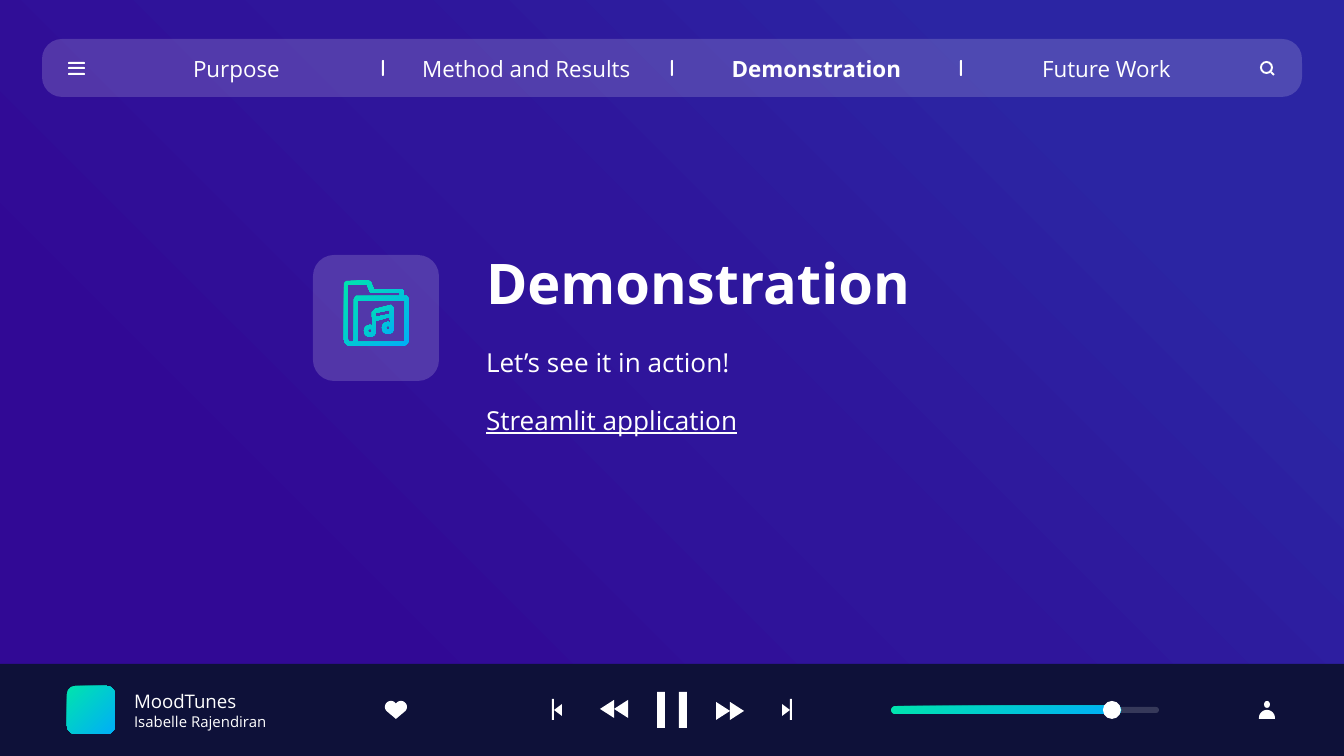
import copy
import dataclasses
import math

import pptx
import pptx.dml.color
import pptx.enum.shapes
import pptx.enum.text
import pptx.oxml
import pptx.oxml.ns
import pptx.util

PX = 914400 * 10 / 1344
SHAPE = pptx.enum.shapes.MSO_SHAPE
ALIGN = pptx.enum.text.PP_ALIGN
ANCHOR = pptx.enum.text.MSO_ANCHOR


@dataclasses.dataclass(frozen=True)
class Theme:
    font: str = "Open Sans"
    white: str = "FFFFFF"
    footer: str = "0E1139"
    background: tuple = ((21, "310995"), (53, "2F159B"), (82, "2B25A3"))
    accent: tuple = ((0, "00E4AE"), (100, "00AEF8"))
    glass_opacity: int = 17
    title: int = 30
    body: int = 14
    navigation: int = 12
    track: int = 10
    artist: int = 8


THEME = Theme()


def px(length):
    return pptx.util.Emu(round(length * PX))


def rgb(color):
    return pptx.dml.color.RGBColor.from_string(color)


def set_gradient(fill, owner, stops, angle):
    """Angle runs counter-clockwise; owner is the element that holds the fill."""
    fill.gradient()
    fill.gradient_angle = angle
    stop_list = next(owner.iter(pptx.oxml.ns.qn("a:gsLst")))
    for _ in stops[2:]:
        stop_list.append(copy.deepcopy(stop_list[-1]))
    for stop, (position, color) in zip(fill.gradient_stops, stops):
        stop.position = position / 100
        stop.color.rgb = rgb(color)


def paint(shape, color, opacity=100):
    """Fill with one colour, or with a diagonal gradient when given stops."""
    shape.shadow.inherit = False
    shape.line.fill.background()
    if isinstance(color, tuple):
        set_gradient(shape.fill, shape.element, color, 315)
        return
    shape.fill.solid()
    shape.fill.fore_color.rgb = rgb(color)
    if opacity < 100:
        color_element = next(shape.element.iter(pptx.oxml.ns.qn("a:srgbClr")))
        alpha = pptx.oxml.parse_xml(f'<a:alpha {pptx.oxml.ns.nsdecls("a")} val="{opacity * 1000}"/>')
        color_element.append(alpha)


def add_box(slide, kind, box, color=THEME.white, adjustment=None, opacity=100):
    shape = slide.shapes.add_shape(kind, *map(px, box))
    if adjustment is not None:
        shape.adjustments[0] = adjustment
    paint(shape, color, opacity)


def add_outline(slide, contours, color=THEME.white):
    """Draw closed contours as one shape; inner contours become holes."""
    first, *holes = [[(px(x), px(y)) for x, y in contour] for contour in contours]
    builder = slide.shapes.build_freeform(*first[0])
    builder.add_line_segments(first[1:])
    for hole in holes:
        builder.move_to(*hole[0])
        builder.add_line_segments(hole[1:])
    paint(builder.convert_to_shape(), color)


def arc(x, y, radius, start, end, steps=24):
    """Points on an arc, in degrees clockwise from the right."""
    angles = [math.radians(start + (end - start) * i / steps) for i in range(steps + 1)]
    return [(x + radius * math.cos(a), y + radius * math.sin(a)) for a in angles]


def write(paragraph, text, size, bold=False, underline=None, align=ALIGN.LEFT, before=0):
    paragraph.alignment = align
    paragraph.line_spacing = 1.0
    paragraph.space_before = px(before)
    run = paragraph.add_run()
    run.text = text
    run.font.name = THEME.font
    run.font.size = pptx.util.Pt(size)
    run.font.bold = bold
    run.font.underline = underline
    run.font.color.rgb = rgb(THEME.white)


def prepare_frame(shape, anchor=ANCHOR.MIDDLE):
    frame = shape.text_frame
    frame.word_wrap = True
    frame.auto_size = pptx.enum.text.MSO_AUTO_SIZE.NONE
    frame.vertical_anchor = anchor
    frame.margin_left = frame.margin_right = px(13)
    frame.margin_top = frame.margin_bottom = px(13)
    return frame


def place(shape, box):
    shape.left, shape.top, shape.width, shape.height = map(px, box)


def remove_bullet(paragraph):
    properties = paragraph._p.get_or_add_pPr()
    properties.set("marL", "0")
    properties.set("indent", "0")
    properties.append(pptx.oxml.parse_xml(f'<a:buNone {pptx.oxml.ns.nsdecls("a")}/>'))


def add_content(slide):
    title, body = slide.placeholders
    place(title, (473, 255, 559, 55))
    write(prepare_frame(title).paragraphs[0], "Demonstration", THEME.title, bold=True)
    place(body, (473, 333, 559, 179))
    frame = prepare_frame(body, ANCHOR.TOP)
    write(frame.paragraphs[0], "Let’s see it in action!", THEME.body)
    write(frame.add_paragraph(), "Streamlit application", THEME.body, underline=True, before=27)
    for paragraph in frame.paragraphs:
        remove_bullet(paragraph)


def add_navigation(slide):
    add_box(slide, SHAPE.ROUNDED_RECTANGLE, (42, 39, 1260, 58), adjustment=0.344,
            opacity=THEME.glass_opacity)
    for y in (62, 67, 73):
        add_box(slide, SHAPE.ROUNDED_RECTANGLE, (68, y, 17, 2), adjustment=0.5)
    for i in range(3):
        add_box(slide, SHAPE.ROUNDED_RECTANGLE, (382 + 289 * i, 60, 2, 16), adjustment=0.5)
    for i, label in enumerate(("Purpose", "Method and Results", "Demonstration", "Future Work")):
        text_box = slide.shapes.add_textbox(*map(px, (102 + 290 * i, 45, 269, 47)))
        write(prepare_frame(text_box).paragraphs[0], label, THEME.navigation,
              bold=label == "Demonstration", align=ALIGN.CENTER)
    add_search_icon(slide)


def add_search_icon(slide):
    add_box(slide, SHAPE.DONUT, (1260, 61, 13, 13), adjustment=0.15)
    handle = slide.shapes.add_connector(pptx.enum.shapes.MSO_CONNECTOR.STRAIGHT,
                                        *map(px, (1271, 72, 1274, 75)))
    handle.line.color.rgb = rgb(THEME.white)
    handle.line.width = px(2)
    handle.element.spPr.append(pptx.oxml.parse_xml(f'<a:effectLst {pptx.oxml.ns.nsdecls("a")}/>'))


def add_music_folder(slide):
    add_box(slide, SHAPE.ROUNDED_RECTANGLE, (313, 255, 126, 126), adjustment=0.167,
            opacity=THEME.glass_opacity)
    folder = [(344, 283), (346, 281), (368, 280), (371, 282), (374, 289), (402, 289),
              (404, 291), (404, 296), (407, 296), (409, 299),
              *arc(402, 339, 7, 0, 90), *arc(351, 339, 7, 90, 180)]
    back = [(348, 285), (367, 285), (370, 292), (372, 293), (400, 293), (400, 296),
            (356, 296), (354, 299), *arc(351, 339, 3, 0, 180)]
    front = [(358, 301), (405, 301), *arc(402, 339, 3, 0, 90), (357, 342), (358, 339)]
    add_outline(slide, [folder, back, front], THEME.accent)
    note = [(372, 312), (375, 309), (391, 305), (394, 308), *arc(388, 328, 6, 0, 290),
            (390, 317), (376, 321), *arc(370, 331, 6, 0, 290)]
    beam = [(376, 313), (390, 310), (390, 314), (376, 317)]
    heads = [arc(x, y, 2, 0, 360) for x, y in ((388, 328), (370, 331))]
    add_outline(slide, [note, beam, *heads], THEME.accent)


def add_triangle(slide, base, tip, top, bottom):
    add_outline(slide, [[(base, top), (tip, (top + bottom) / 2), (base, bottom)]])


def add_playback_controls(slide):
    """Pause in the middle, with skip and wind buttons mirrored about the centre."""
    for x in (657, 679):
        add_box(slide, SHAPE.RECTANGLE, (x, 692, 8, 36))
    for side, wind_top in ((-1, 700), (1, 702)):
        for offset in (44, 58):
            add_triangle(slide, 672 + side * offset, 672 + side * (offset + 14),
                         wind_top, wind_top + 18)
        add_triangle(slide, 672 + side * 110, 672 + side * 118, 704, 716)
        add_box(slide, SHAPE.RECTANGLE, (671 + side * 119, 699, 2, 21))


def add_player(slide):
    add_box(slide, SHAPE.RECTANGLE, (0, 664, 1344, 92), THEME.footer)
    add_box(slide, SHAPE.ROUNDED_RECTANGLE, (67, 686, 48, 48), THEME.accent, adjustment=0.167)
    frame = prepare_frame(slide.shapes.add_textbox(*map(px, (121, 687, 230, 47))))
    write(frame.paragraphs[0], "MoodTunes", THEME.track)
    write(frame.add_paragraph(), "Isabelle Rajendiran", THEME.artist)
    heart = [*arc(391, 707, 6, 135, 325), *arc(401, 707, 6, 215, 405), (396, 719)]
    add_outline(slide, [heart])
    add_playback_controls(slide)
    add_box(slide, SHAPE.ROUNDED_RECTANGLE, (891, 707, 268, 6), adjustment=0.5,
            opacity=THEME.glass_opacity)
    add_box(slide, SHAPE.ROUNDED_RECTANGLE, (891, 706, 230, 8), THEME.accent, adjustment=0.5)
    add_box(slide, SHAPE.OVAL, (1103, 701, 18, 18))
    add_box(slide, SHAPE.OVAL, (1264, 701, 6, 7))
    add_outline(slide, [[*arc(1267, 718, 8, 180, 360), (1275, 719), (1259, 719)]])


def main():
    presentation = pptx.Presentation()
    presentation.slide_width, presentation.slide_height = px(1344), px(756)
    slide = presentation.slides.add_slide(presentation.slide_layouts[1])
    set_gradient(slide.background.fill, slide.element, THEME.background, 45)
    add_player(slide)
    add_navigation(slide)
    add_content(slide)
    add_music_folder(slide)
    presentation.save("out.pptx")


if __name__ == "__main__":
    main()
